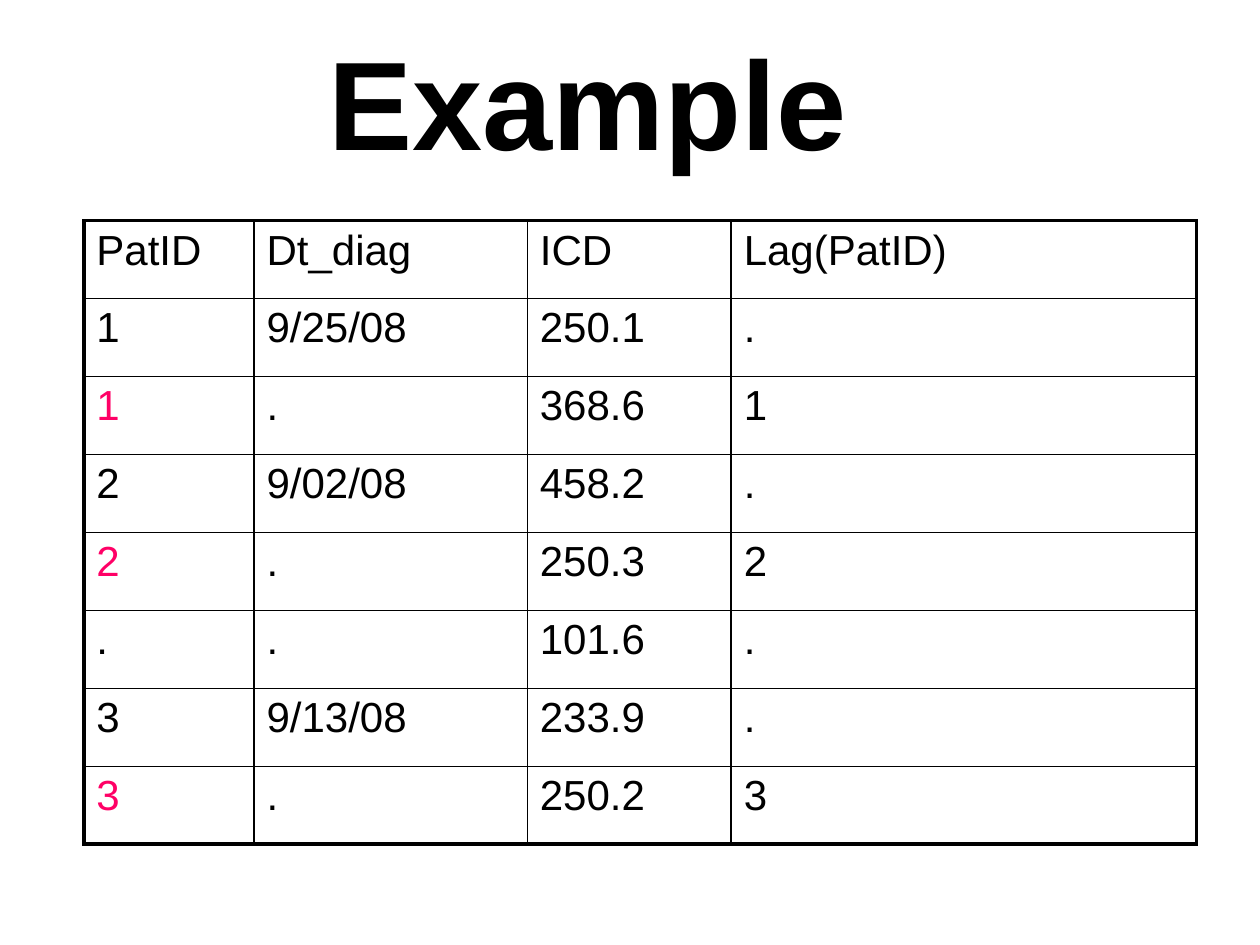
from dataclasses import dataclass

from lxml import etree
from pptx import Presentation
from pptx.dml.color import RGBColor
from pptx.enum.text import MSO_ANCHOR, MSO_AUTO_SIZE, PP_ALIGN
from pptx.oxml.ns import qn
from pptx.util import Cm, Pt

MIDDLE = MSO_ANCHOR.MIDDLE
FIXED = MSO_AUTO_SIZE.NONE
CENTER = PP_ALIGN.CENTER
LEFT = PP_ALIGN.LEFT


@dataclass(frozen=True)
class Theme:
    font: str = "Arial"
    ink: str = "000000"
    mark: str = "FF0066"
    paper: str = "FFFFFF"
    head: int = 72
    body: int = 24
    thin: float = 1
    thick: float = 2.25


THEME = Theme()
WIDTHS = (3.43, 5.51, 4.11, 9.38)
ROWS = (
    ("PatID", "Dt_diag", "ICD", "Lag(PatID)"),
    ("1", "9/25/08", "250.1", "."),
    ("1", ".", "368.6", "1"),
    ("2", "9/02/08", "458.2", "."),
    ("2", ".", "250.3", "2"),
    (".", ".", "101.6", "."),
    ("3", "9/13/08", "233.9", "."),
    ("3", ".", "250.2", "3"),
)


def apply(item, values):
    for name, value in values.items():
        setattr(item, name, value)


def style(para, align, size, color, bold=False):
    para.alignment = align
    font = para.runs[0].font
    apply(font, {"name": THEME.font, "size": Pt(size), "bold": bold})
    font.color.rgb = RGBColor.from_string(color)


def border(cell, sides):
    props = cell._tc.get_or_add_tcPr()
    for index, (side, width) in enumerate(sides.items()):
        line = etree.Element(qn(f"a:ln{side}"), w=str(Pt(width)))
        fill = etree.SubElement(line, qn("a:solidFill"))
        etree.SubElement(fill, qn("a:srgbClr"), val=THEME.ink)
        props.insert(index, line)


def add_title(slide, text, left, top, width, height):
    title = slide.shapes.title
    apply(title, {"left": left, "top": top, "width": width, "height": height})
    frame = title.text_frame
    frame.text = text
    apply(frame, {"auto_size": FIXED, "word_wrap": True,
                  "vertical_anchor": MIDDLE})
    style(frame.paragraphs[0], CENTER, THEME.head, THEME.ink, True)


def add_grid(slide, rows, left, top, width, height):
    count, span = len(rows), len(WIDTHS)
    table = slide.shapes.add_table(count, span, left, top, width, height).table
    apply(table, {"first_row": False, "horz_banding": False})
    for col, size in zip(table.columns, WIDTHS):
        col.width = int(width * size / sum(WIDTHS))
    for r, row in enumerate(rows):
        table.rows[r].height = height // count
        repeat = row[0] == row[-1] != "."
        for c, text in enumerate(row):
            cell = table.cell(r, c)
            cell.text = text
            cell.fill.solid()
            cell.fill.fore_color.rgb = RGBColor.from_string(THEME.paper)
            color = THEME.mark if repeat and c == 0 else THEME.ink
            style(cell.text_frame.paragraphs[0], LEFT, THEME.body, color)
            edges = {"L": c == 0, "R": c == span - 1,
                     "T": r == 0, "B": r == count - 1}
            border(cell, {side: THEME.thick if outer else THEME.thin
                          for side, outer in edges.items()})


def main():
    deck = Presentation()
    apply(deck, {"slide_width": Cm(25.4), "slide_height": Cm(19.05)})
    slide = deck.slides.add_slide(deck.slide_layouts[5])
    add_title(slide, "Example", Cm(0.42), Cm(0.42), Cm(22.86), Cm(3.18))
    add_grid(slide, ROWS, Cm(1.69), Cm(4.45), Cm(sum(WIDTHS)), Cm(12.57))
    deck.save("out.pptx")


if __name__ == "__main__":
    main()
